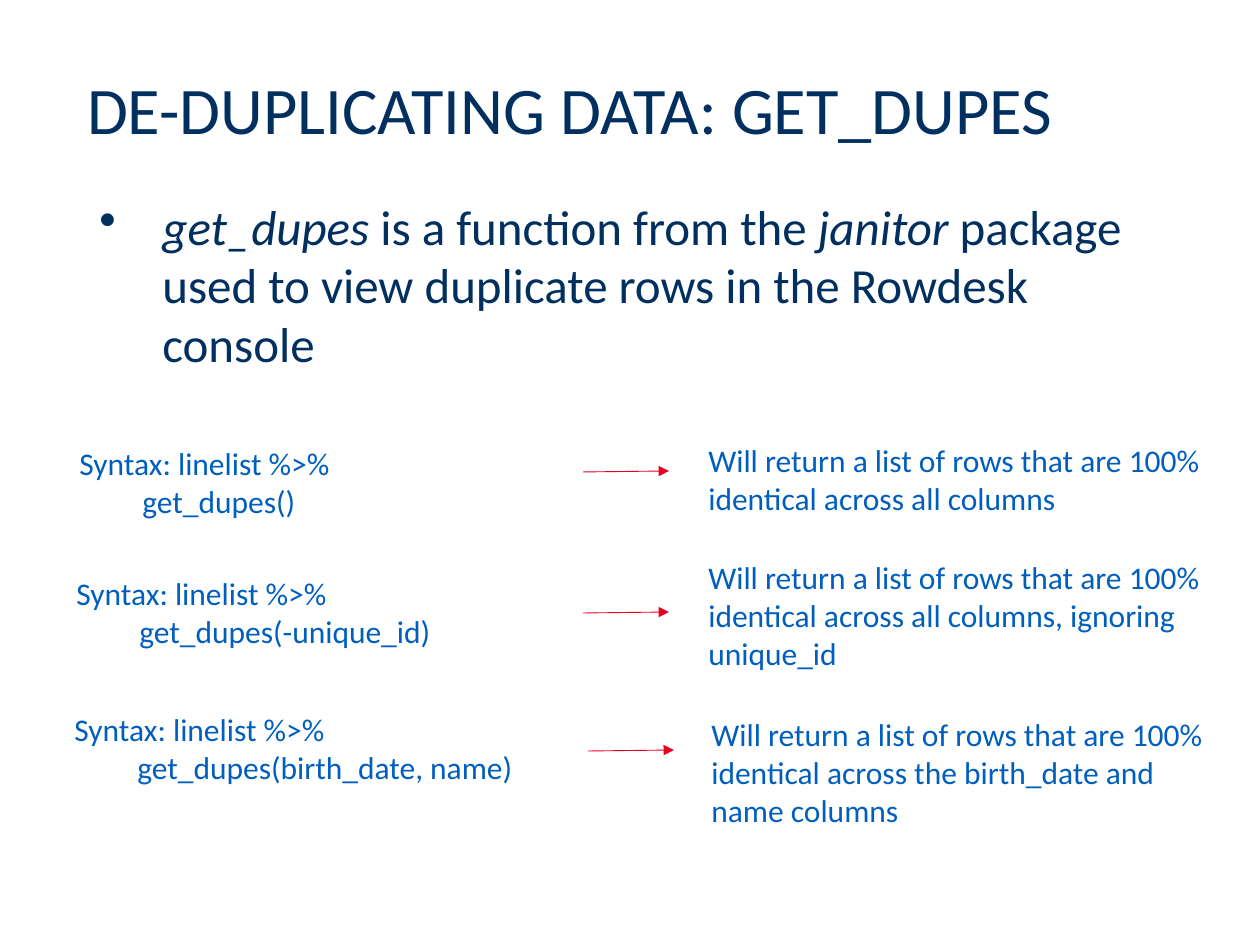
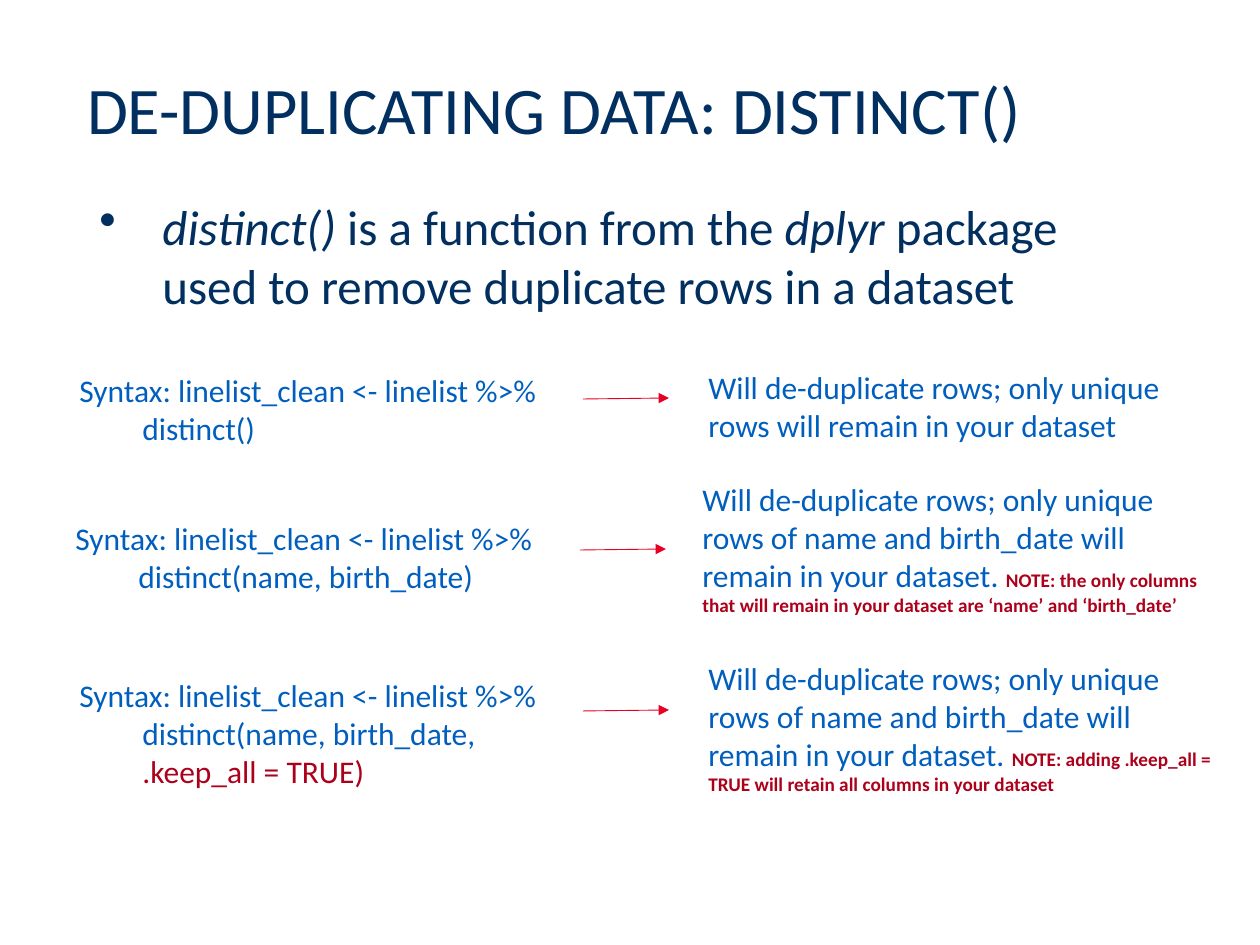
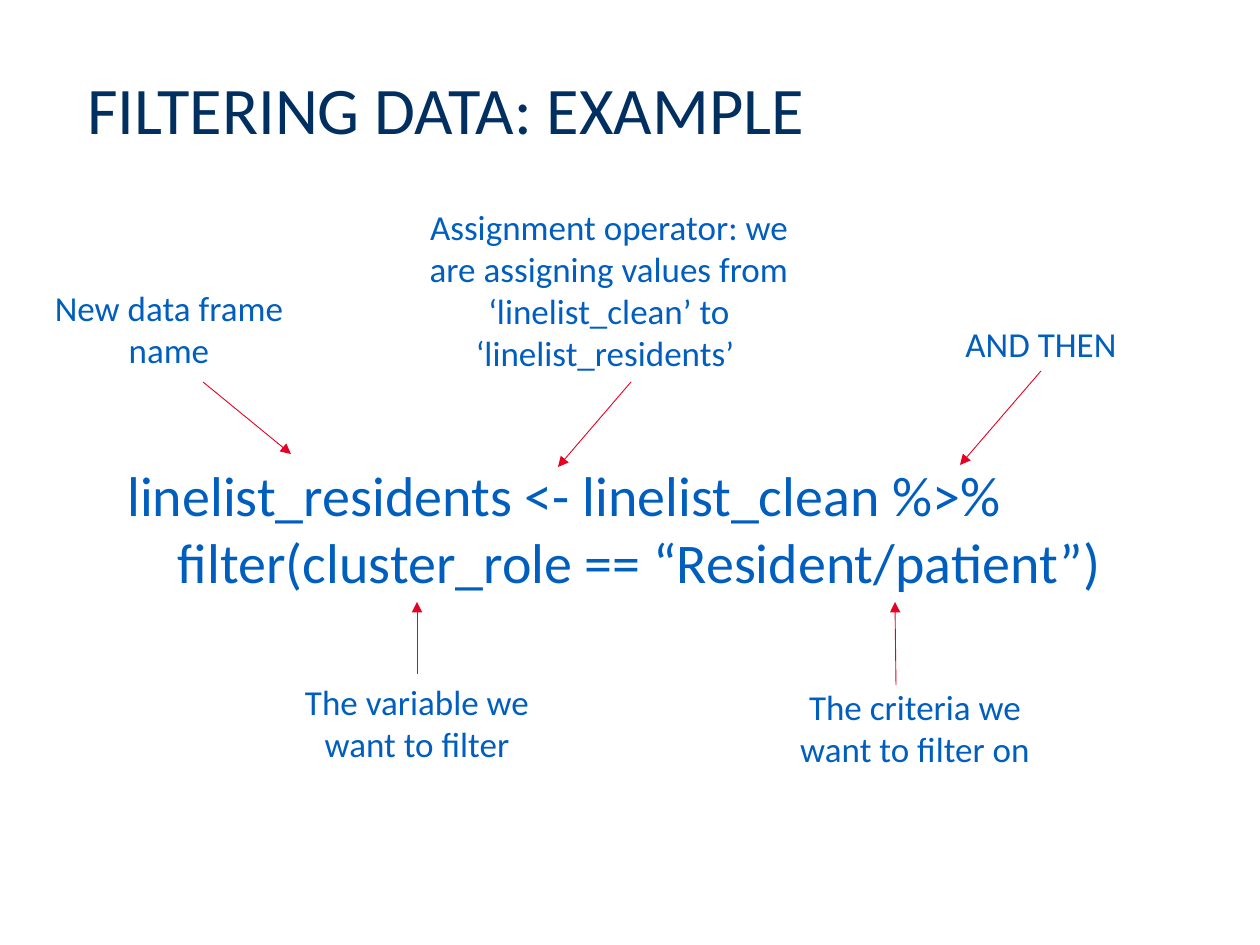
from lxml import etree
from pptx import Presentation
from pptx import util as u
from pptx.dml.color import RGBColor
from pptx.enum import shapes, text
from pptx.oxml.ns import qn

SCALE = 914400 / 126
FONT = "Calibri"
HUES = {"navy": "002F60", "blue": "005FBE", "red": "E50024", "dark": "AC001B"}
NOTE = {"size": 11, "hue": "dark", "bold": True}
ITALIC = {"italic": True}


def px(num):
    return u.Emu(round(num * SCALE))


def rgb(hue):
    return RGBColor.from_string(HUES[hue])


def add_bullet(para, hang):
    props = para._p.get_or_add_pPr()
    props.set("marL", str(px(hang)))
    props.set("indent", str(-px(hang)))
    etree.SubElement(props, qn("a:buChar")).set("char", "•")


def write(slide, box, lines, size=18, hue="blue", align=None, bullet=False,
          inset=True, leading=None):
    """Each line is a string or a list of runs: strings or (string, format)."""
    shape = slide.shapes.add_textbox(*map(px, box))
    frame = shape.text_frame
    frame.word_wrap = True
    if inset:
        frame.auto_size = text.MSO_AUTO_SIZE.SHAPE_TO_FIT_TEXT
    else:
        frame.margin_left = frame.margin_right = 0
        frame.margin_top = frame.margin_bottom = 0
    for num, line in enumerate(lines):
        para = frame.add_paragraph() if num else frame.paragraphs[0]
        if bullet:
            add_bullet(para, 63)
        if align:
            para.alignment = align
        if leading:
            para.line_spacing = u.Pt(leading)
        for part in [line] if isinstance(line, str) else line:
            words, form = (part, {}) if isinstance(part, str) else part
            run = para.add_run()
            run.text = words
            font = run.font
            font.name = FONT
            font.size = u.Pt(form.get("size", size))
            font.color.rgb = rgb(form.get("hue", hue))
            font.bold = form.get("bold")
            font.italic = form.get("italic")
    return shape


def arrow(slide, start, end, source=None, site=0):
    line = slide.shapes.add_connector(
        shapes.MSO_CONNECTOR.STRAIGHT, *map(px, (*start, *end)))
    if source is not None:
        line.begin_connect(source, site)
    line.line.color.rgb = rgb("red")
    line.line.width = u.Pt(0.5)
    etree.SubElement(line.line._get_or_add_ln(), qn("a:tailEnd")).set("type", "triangle")
    etree.SubElement(line._element.spPr, qn("a:effectLst"))


def page(deck, title):
    slide = deck.slides.add_slide(deck.slide_layouts[6])
    write(slide, (87, 76, 1089, 94), [title], size=38, hue="navy",
          inset=False, leading=41)
    return slide


def intro(slide, high, runs):
    write(slide, (87, 190, 1070, high), [runs], size=28, hue="navy", bullet=True)


def row(slide, code, code_at, result, result_at, tip):
    """Code on the left, an arrow, and what the code returns."""
    write(slide, (*code_at, 542, 14 + 38 * len(code)), code)
    write(slide, (*result_at, 542, 127), [result])
    x, y = tip
    arrow(slide, (x, y), (x + 86, y - 1))


def dupes(deck):
    slide = page(deck, "DE-DUPLICATING DATA: GET_DUPES")
    intro(slide, 190, [
        ("get_dupes", ITALIC), " is a function from the ", ("janitor", ITALIC),
        " package used to view duplicate rows in the Rowdesk console"])
    same = "Will return a list of rows that are 100% identical across "
    for call, code_at, result, result_at, tip in (
        ("", (67, 438), "all columns", (696, 435), (583, 472)),
        ("-unique_id", (64, 568), "all columns, ignoring unique_id",
         (696, 552), (583, 613)),
        ("birth_date, name", (62, 704), "the birth_date and name columns",
         (699, 709), (588, 751)),
    ):
        code = ["Syntax: linelist %>%", f"\tget_dupes({call})"]
        row(slide, code, code_at, same + result, result_at, tip)


def distinct(deck):
    slide = page(deck, "DE-DUPLICATING DATA: DISTINCT()")
    intro(slide, 131, [
        ("distinct()", ITALIC), " is a function from the ", ("dplyr", ITALIC),
        " package used to remove duplicate rows in a dataset"])
    head = "Syntax: linelist_clean <- linelist %>%"
    only = "Will de-duplicate rows; only unique rows "
    pair = only + "of name and birth_date will remain in your dataset. "
    for calls, code_at, result, result_at, tip in (
        (["\tdistinct()"], (67, 365),
         only + "will remain in your dataset", (696, 362), (583, 399)),
        (["\tdistinct(name, birth_date)"], (63, 513),
         [pair, ("NOTE: the only columns that will remain in your dataset "
                 "are ‘name’ and ‘birth_date’", NOTE)],
         (690, 474), (580, 550)),
        (["\tdistinct(name, birth_date,",
          ["\t", (".keep_all = TRUE)", {"hue": "dark"})]], (67, 670),
         [pair, ("NOTE: adding .keep_all = TRUE will retain all columns "
                 "in your dataset", NOTE)],
         (696, 653), (583, 711)),
    ):
        row(slide, [head, *calls], code_at, result, result_at, tip)


def example(deck):
    slide = page(deck, "FILTERING DATA: EXAMPLE")
    write(slide, (115, 454, 1061, 149), [
        "linelist_residents <- linelist_clean %>%",
        "    filter(cluster_role == “Resident/patient”)"], size=32)
    for words, box, start, end, site in (
        ("New data frame name", (28, 280, 282, 97), (203, 382), (291, 454), None),
        ("Assignment operator: we are assigning values from "
         "‘linelist_clean’ to ‘linelist_residents’ ",
         (417, 199, 384, 183), (631, 382), (558, 467), None),
        ("AND THEN", (849, 316, 384, 55), (1041, 371), (960, 465), 2),
        ("The variable we want to filter",
         (276, 674, 282, 97), (417, 674), (417, 602), 0),
        ("The criteria we want to filter on",
         (774, 679, 282, 97), (896, 685), (895, 602), None),
    ):
        label = write(slide, box, [words], size=20, align=text.PP_ALIGN.CENTER)
        arrow(slide, start, end, None if site is None else label, site)


def main():
    deck = Presentation()
    deck.slide_width, deck.slide_height = px(1260), px(945)
    dupes(deck)
    distinct(deck)
    example(deck)
    deck.save("out.pptx")


if __name__ == "__main__":
    main()
